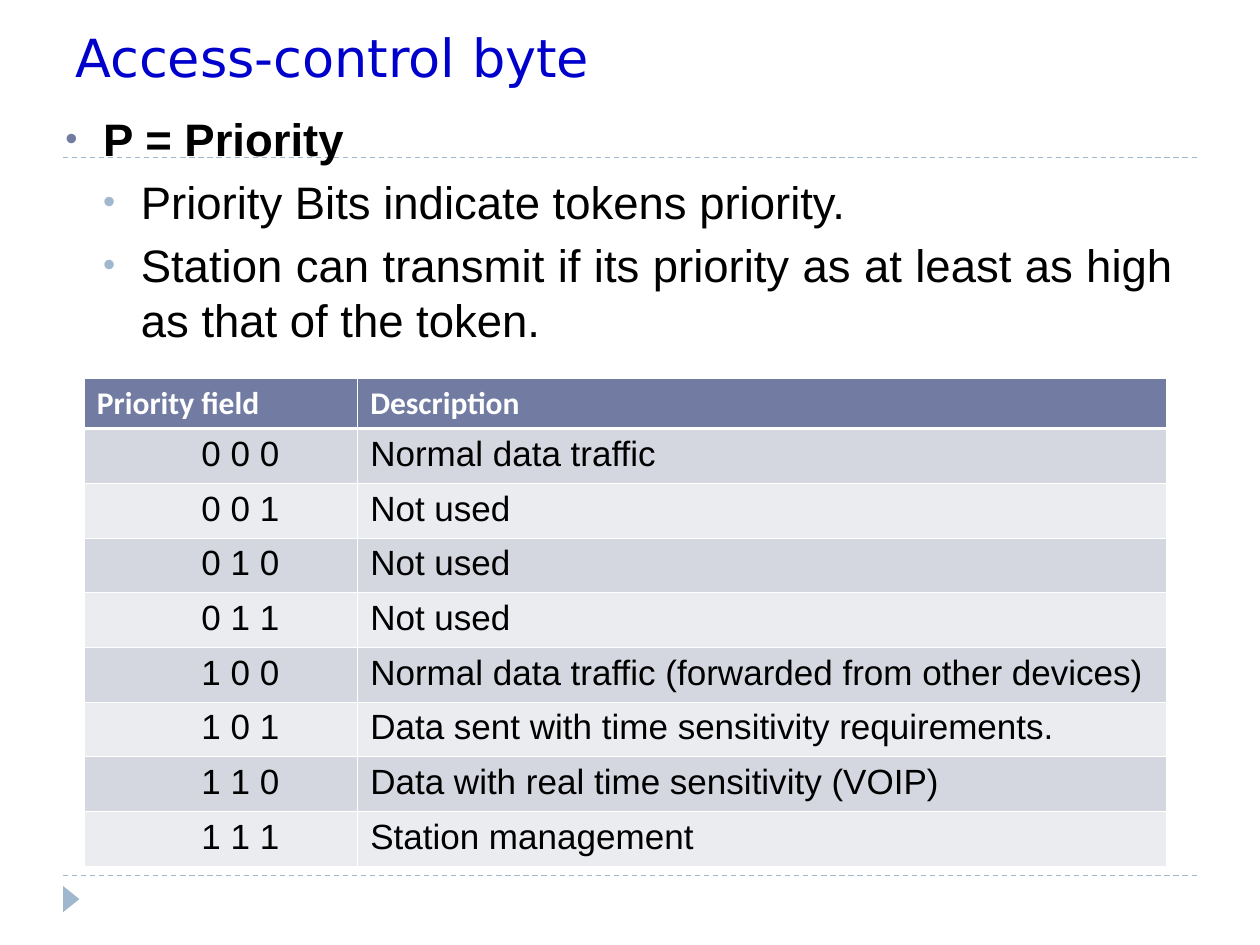
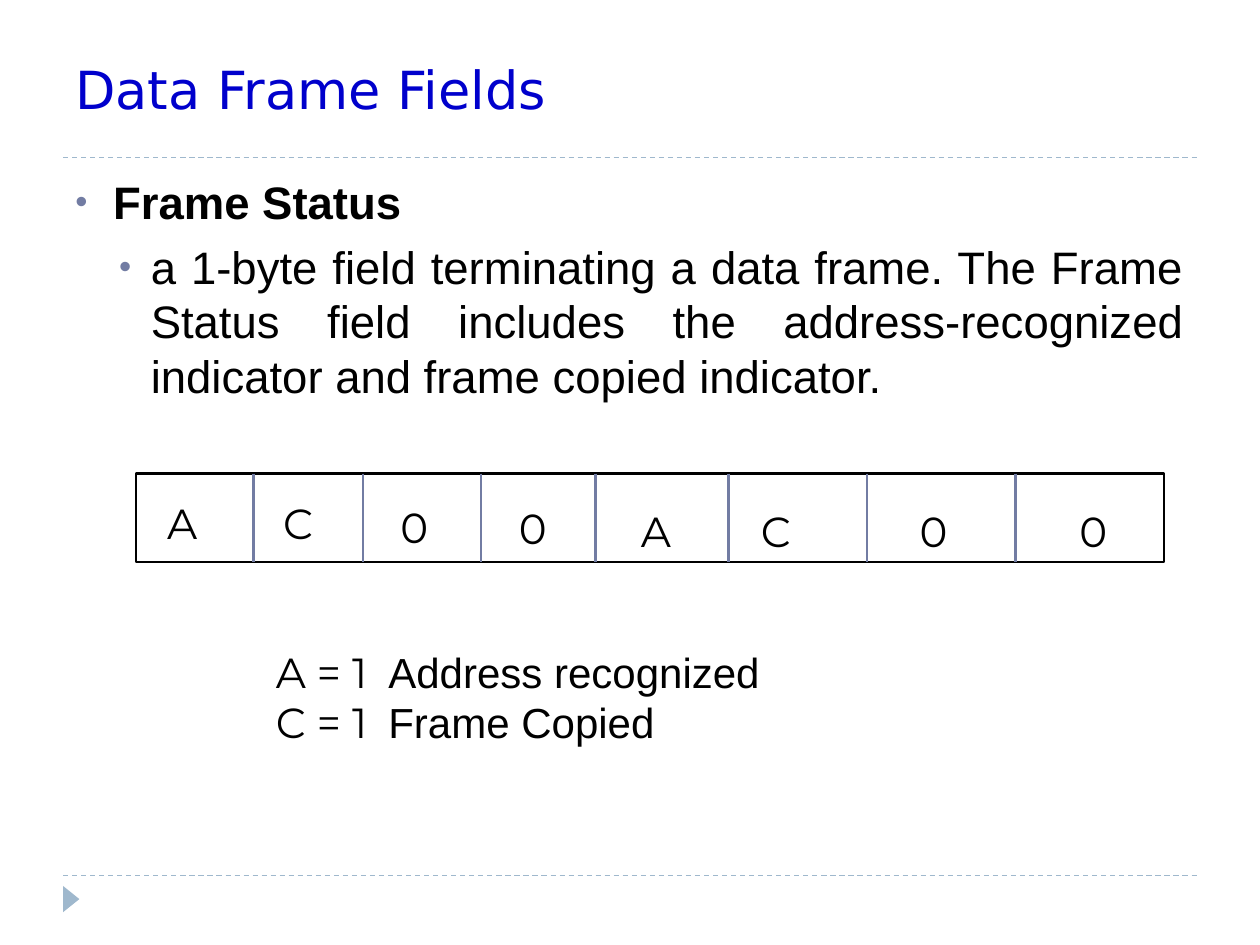
from lxml.etree import SubElement
from pptx import Presentation
from pptx.dml.color import RGBColor
from pptx.enum.dml import MSO_LINE
from pptx.enum.shapes import MSO_CONNECTOR, MSO_SHAPE
from pptx.enum.text import MSO_ANCHOR, PP_ALIGN
from pptx.oxml import parse_xml
from pptx.oxml.ns import nsdecls, qn
from pptx.util import Cm, Pt

BLACK = RGBColor(0x00, 0x00, 0x00)
WHITE = RGBColor(0xFF, 0xFF, 0xFF)
TITLE_BLUE = RGBColor(0x00, 0x00, 0xCC)
SLATE = RGBColor(0x72, 0x7C, 0xA3)
PALE_BLUE = RGBColor(0x9F, 0xB8, 0xCD)
BANDS = (RGBColor(0xD5, 0xD7, 0xE0), RGBColor(0xEB, 0xEC, 0xF0))

TITLE_FONT, BODY_FONT, HEADER_FONT, FIELD_FONT = (
    "DejaVu Sans", "Arial", "Calibri", "Montserrat")

# Bullet styles: left margin, hanging indent, space before, bullet colour
HEADING = (0.76, 0.76, 0, SLATE)
DETAIL = (1.52, 0.76, 5, PALE_BLUE)
STATUS_DETAIL = (1.52, 0.64, 6, SLATE)

PRIORITY_POINTS = [
    ("P = Priority", HEADING),
    ("Priority Bits indicate tokens priority.", DETAIL),
    ("Station can transmit if its priority as at least as high as that "
     "of the token.", DETAIL),
]
STATUS_POINTS = [
    ("Frame Status", HEADING),
    ("a 1-byte field terminating a data frame. The Frame Status field "
     "includes the address-recognized indicator and frame copied "
     "indicator.", STATUS_DETAIL),
]
PRIORITY_ROWS = [
    ("Priority field", "Description"),
    ("0 0 0", "Normal data traffic"),
    ("0 0 1", "Not used"),
    ("0 1 0", "Not used"),
    ("0 1 1", "Not used"),
    ("1 0 0", "Normal data traffic (forwarded from other devices)"),
    ("1 0 1", "Data sent with time sensitivity requirements."),
    ("1 1 0", "Data with real time sensitivity (VOIP)"),
    ("1 1 1", "Station management"),
]
# Each bit of the status byte: label, label left, label top, right edge of cell
STATUS_BITS = [
    ("A", 3.12, 9.91, 5.11), ("C", 5.46, 9.91, 7.32),
    ("0", 7.82, 9.98, 9.70), ("0", 10.21, 10.01, 12.01),
    ("A", 12.67, 10.06, 14.68), ("C", 15.09, 10.06, 17.48),
    ("0", 18.29, 10.06, 20.47), ("0", 21.51, 10.06, 23.47),
]
BYTE_LEFT, BYTE_TOP, BYTE_HEIGHT = 2.74, 9.55, 1.78
LEGEND = [("A = 1", "Address recognized"), ("C = 1", "Frame Copied")]


def style_font(font, name, size, color, bold=False):
    font.name, font.size, font.bold = name, Pt(size), bold
    font.color.rgb = color


def add_text_box(slide, left, top, width, height):
    box = slide.shapes.add_textbox(Cm(left), Cm(top), Cm(width), Cm(height))
    box.text_frame.word_wrap = True
    return box.text_frame


def add_line(slide, start, end, color, width):
    line = slide.shapes.add_connector(
        MSO_CONNECTOR.STRAIGHT, *(Cm(value) for value in (*start, *end)))
    line.line.color.rgb, line.line.width = color, Pt(width)
    SubElement(line._element.spPr, qn("a:effectLst"))
    return line


def start_slide(presentation, title, title_bottom):
    """Add a slide with its dashed rules, corner marker and title."""
    slide = presentation.slides.add_slide(presentation.slide_layouts[6])
    for y in (17.65, 3.17):
        rule = add_line(slide, (1.27, y), (24.13, y), PALE_BLUE, 0.75)
        rule.line.dash_style = MSO_LINE.DASH
    marker = slide.shapes.add_shape(
        MSO_SHAPE.ISOSCELES_TRIANGLE, Cm(1.17), Cm(17.96), Cm(0.53), Cm(0.33))
    marker.rotation = 90
    marker.shadow.inherit = False
    marker.fill.solid()
    marker.fill.fore_color.rgb = PALE_BLUE
    marker.line.fill.background()

    top = 0.43
    frame = add_text_box(slide, 1.27, top, 22.86, title_bottom - top)
    frame.vertical_anchor = MSO_ANCHOR.BOTTOM
    frame.text = title
    style_font(frame.paragraphs[0].runs[0].font, TITLE_FONT, 30, TITLE_BLUE)
    return slide


def add_bullets(slide, points, left, top, height):
    frame = add_text_box(slide, left, top, 22.86, height)
    for index, (text, style) in enumerate(points):
        margin, hanging, space_before, bullet_color = style
        paragraph = frame.add_paragraph() if index else frame.paragraphs[0]
        paragraph.text = text
        paragraph.alignment = PP_ALIGN.JUSTIFY
        paragraph.space_before = Pt(space_before)
        properties = paragraph._p.get_or_add_pPr()
        properties.set("marL", str(Cm(margin)))
        properties.set("indent", str(-Cm(hanging)))
        color = SubElement(properties, qn("a:buClr"))
        SubElement(color, qn("a:srgbClr"), val=str(bullet_color))
        SubElement(properties, qn("a:buSzPct"), val="76000")
        SubElement(properties, qn("a:buFont"), typeface=BODY_FONT)
        SubElement(properties, qn("a:buChar"), char="•")
        style_font(paragraph.runs[0].font, BODY_FONT, 26, BLACK,
                   bold=style is HEADING)


def set_borders(cell, **widths):
    """Draw white borders; widths in points by side: L, R, T, B."""
    properties = cell._tc.get_or_add_tcPr()
    for position, side in enumerate("LRTB"):
        properties.insert(position, parse_xml(
            f'<a:ln{side} {nsdecls("a")} w="{Pt(widths.get(side, 0.45))}">'
            f'<a:solidFill><a:srgbClr val="{WHITE}"/></a:solidFill>'
            f'</a:ln{side}>'))


def add_priority_table(slide):
    row_heights = [1.02] + [1.1] * (len(PRIORITY_ROWS) - 1)
    column_widths = (5.51, 16.31)
    table = slide.shapes.add_table(
        len(row_heights), len(column_widths), Cm(1.7), Cm(7.62),
        Cm(sum(column_widths)), Cm(sum(row_heights))).table
    for column, width in zip(table.columns, column_widths):
        column.width = Cm(width)
    for row_index, texts in enumerate(PRIORITY_ROWS):
        table.rows[row_index].height = Cm(row_heights[row_index])
        is_header = row_index == 0
        for column_index, text in enumerate(texts):
            cell = table.cell(row_index, column_index)
            cell.text = text
            cell.fill.solid()
            font = cell.text_frame.paragraphs[0].runs[0].font
            if is_header:
                cell.fill.fore_color.rgb = SLATE
                style_font(font, HEADER_FONT, 18, WHITE, bold=True)
                set_borders(cell, B=1.47)
            else:
                cell.fill.fore_color.rgb = BANDS[(row_index - 1) % 2]
                style_font(font, BODY_FONT, 20, BLACK)
                set_borders(cell, T=1.47 if row_index == 1 else 0.45)
                if column_index == 0:
                    cell.margin_left = Cm(2.36)


def add_status_byte(slide):
    byte_right = STATUS_BITS[-1][-1]
    outline = slide.shapes.add_shape(
        MSO_SHAPE.RECTANGLE, Cm(BYTE_LEFT), Cm(BYTE_TOP),
        Cm(byte_right - BYTE_LEFT), Cm(BYTE_HEIGHT))
    outline.shadow.inherit = False
    outline.fill.background()
    outline.line.color.rgb, outline.line.width = BLACK, Pt(1.5)
    for label, left, top, right in STATUS_BITS:
        frame = add_text_box(slide, left, top, 1.63, 1.27)
        frame.text = label
        style_font(frame.paragraphs[0].runs[0].font, FIELD_FONT, 24, BLACK)
        if right < byte_right:
            add_line(slide, (right, BYTE_TOP),
                     (right, BYTE_TOP + BYTE_HEIGHT), SLATE, 1.5)


def add_legend(slide):
    frame = add_text_box(slide, 5.31, 12.9, 14.81, 2.29)
    for index, (code, meaning) in enumerate(LEGEND):
        paragraph = frame.add_paragraph() if index else frame.paragraphs[0]
        tabs = SubElement(paragraph._p.get_or_add_pPr(), qn("a:tabLst"))
        SubElement(tabs, qn("a:tab"), pos=str(Cm(2.27)), algn="l")
        for text, name in ((code + "\t", FIELD_FONT), (meaning, BODY_FONT)):
            run = paragraph.add_run()
            run.text = text
            style_font(run.font, name, 24, BLACK)


def main():
    presentation = Presentation()
    presentation.slide_width, presentation.slide_height = Cm(25.4), Cm(19.05)

    slide = start_slide(presentation, "Access-control byte", 1.9)
    add_bullets(slide, PRIORITY_POINTS, 1.07, 2.11, 5.4)
    add_priority_table(slide)

    slide = start_slide(presentation, "Data Frame Fields", 2.54)
    add_bullets(slide, STATUS_POINTS, 1.27, 3.38, 6)
    add_status_byte(slide)
    add_legend(slide)

    presentation.save("out.pptx")


if __name__ == "__main__":
    main()
